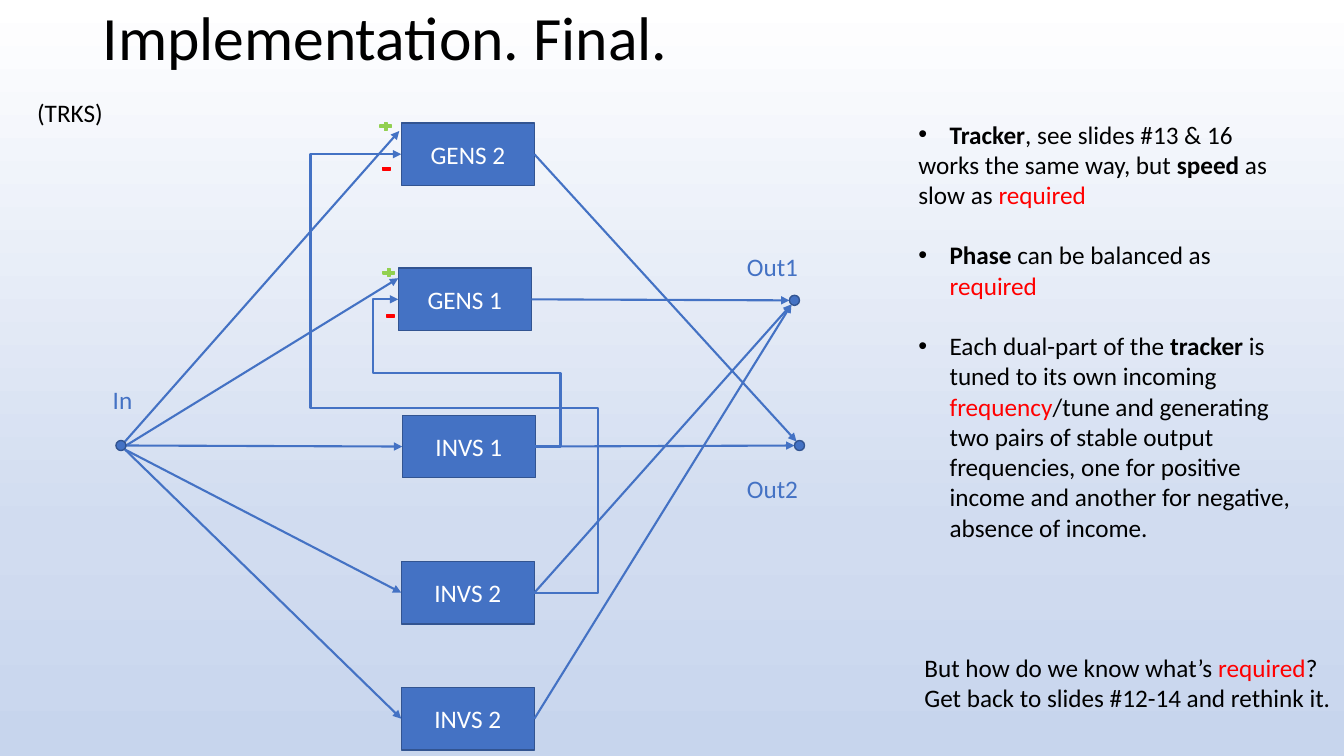
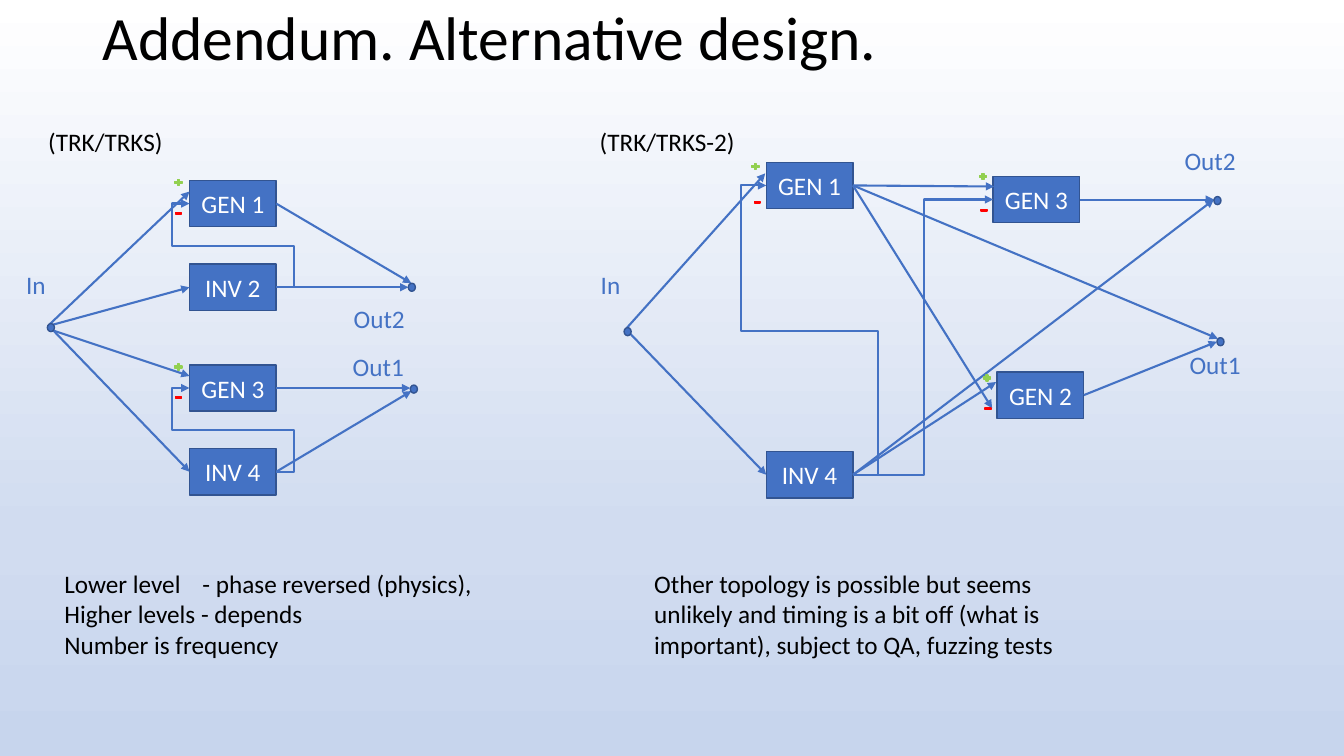
from copy import deepcopy
from dataclasses import dataclass

from lxml.etree import SubElement as Sub
from pptx import Presentation
from pptx.dml.color import RGBColor as Color
from pptx.enum.shapes import MSO_CONNECTOR as Link, MSO_SHAPE as Form
from pptx.enum.text import MSO_ANCHOR as Anchor, MSO_AUTO_SIZE as Fit, PP_ALIGN as Align
from pptx.oxml.ns import qn
from pptx.util import Emu, Inches, Pt

CELL = Inches(0.1)
FONT = "Calibri"
BLACK = Color(0, 0, 0)
WHITE = Color(0xFF, 0xFF, 0xFF)
BLUE = Color(0x44, 0x72, 0xC4)
NAVY = Color(0x32, 0x54, 0x91)
GREEN = Color(0x92, 0xD0, 0x50)
RED = Color(0xFF, 0, 0)
FADE = [(0, WHITE), (0.7, Color(0xD1, 0xDC, 0xF0)), (1, Color(0xC7, 0xD5, 0xED))]


@dataclass
class Size:
    box: tuple
    dot: tuple
    plus: tuple
    minus: tuple


BIG = Size((13.2, 6.2), (1, 1), (1.5, 1.1), (1.1, 0.9))
SMALL = Size((8.6, 4.6), (0.7, 0.8), (1, 0.8), (0.8, 0.7))


@dataclass
class Row:
    words: list
    dot: bool = False
    gap: float = 0
    tab: float = 0


def grid(*cells):
    return [Emu(round(n * CELL)) for n in cells]


def bold(text):
    return text, True, None


def red(text):
    return text, None, RED


def write(frame, rows, color=BLACK, size=18):
    for i, row in enumerate(rows):
        para = frame.paragraphs[0] if i == 0 else frame.add_paragraph()
        props = para._p.get_or_add_pPr()
        if row.gap:
            para.space_before = Pt(row.gap)
        if row.dot:
            props.set("marL", str(grid(3.1)[0]))
            props.set("indent", str(grid(-3.1)[0]))
            Sub(props, qn("a:buFont"), typeface="Arial")
            Sub(props, qn("a:buChar"), char="•")
        if row.tab:
            tabs = Sub(props, qn("a:tabLst"))
            Sub(tabs, qn("a:tab"), pos=str(grid(row.tab)[0]), algn="l")
        para.font.name = FONT
        para.font.size = Pt(size)
        para.font.color.rgb = color
        for word in row.words:
            text, heavy, tint = (word, None, None) if isinstance(word, str) else word
            run = para.add_run()
            run.text = text
            if heavy:
                run.font.bold = True
            if tint:
                run.font.color.rgb = tint


def note(page, x, y, wide, high, rows, color=BLACK):
    frame = page.shapes.add_textbox(*grid(x, y, wide, high)).text_frame
    frame.word_wrap = True
    frame.auto_size = Fit.SHAPE_TO_FIT_TEXT
    write(frame, rows, color)


def label(page, text, x, y, wide=9, high=4, color=BLUE):
    note(page, x, y, wide, high, [Row([text])], color)


def shape(page, form, spot, size, fill=BLUE, edge=NAVY):
    item = page.shapes.add_shape(form, *grid(*spot, *size))
    item.shadow.inherit = False
    item.fill.solid()
    item.fill.fore_color.rgb = fill
    item.line.color.rgb = edge
    item.line.width = Pt(1)
    return item


def box(page, text, x, y, size):
    item = shape(page, Form.RECTANGLE, (x, y), size.box)
    frame = item.text_frame
    frame.vertical_anchor = Anchor.MIDDLE
    write(frame, [Row([text])], WHITE)
    frame.paragraphs[0].alignment = Align.CENTER
    return item


def dots(page, size, *spots):
    for spot in spots:
        shape(page, Form.FLOWCHART_CONNECTOR, spot, size.dot)


def signs(page, size, plus, minus):
    shape(page, Form.MATH_PLUS, plus, size.plus, GREEN, GREEN)
    shape(page, Form.MATH_MINUS, minus, size.minus, RED, RED)


def place(end, right):
    if isinstance(end, tuple):
        return grid(*end)
    return end.left + end.width * right, end.top + end.height // 2


def wire(page, start, stop, *bends):
    a, b = place(start, 1), place(stop, 0)
    link = page.shapes.add_connector(Link.ELBOW if bends else Link.STRAIGHT, *a, *b)
    if not isinstance(start, tuple):
        link.begin_connect(start, 3)
    if not isinstance(stop, tuple):
        link.end_connect(stop, 1)
    link.line.color.rgb = BLUE
    link.line.width = Pt(1.5)
    props = link.element.spPr
    Sub(props.find(qn("a:ln")), qn("a:tailEnd"), type="triangle")
    Sub(props, qn("a:effectLst"))
    if bends:
        geom = props.find(qn("a:prstGeom"))
        geom.set("prst", f"bentConnector{len(bends) + 2}")
        for i, bend in enumerate(grid(*bends)):
            k = i % 2
            share = round((bend - a[k]) / (b[k] - a[k]) * 100000)
            Sub(geom.find(qn("a:avLst")), qn("a:gd"), name=f"adj{i + 1}", fmla=f"val {share}")


def wires(page, *pairs):
    for start, stop in pairs:
        wire(page, start, stop)


def sheet(deck, title):
    page = deck.slides.add_slide(deck.slide_layouts[6])
    fill = page.background.fill
    fill.gradient()
    fill.gradient_angle = 270
    stops = next(page.element.iter(qn("a:gsLst")))
    stops.append(deepcopy(stops[0]))
    for stop, (share, color) in zip(fill.gradient_stops, FADE):
        stop.position = share
        stop.color.rgb = color
    frame = page.shapes.add_textbox(*grid(9.2, 0, 115, 8.1)).text_frame
    frame.word_wrap = True
    frame.vertical_anchor = Anchor.MIDDLE
    write(frame, [Row([title])], size=44)
    frame.paragraphs[0].line_spacing = 0.9
    return page


def final(deck):
    page = sheet(deck, "Implementation. Final.")
    label(page, "(TRKS)", 2.7, 9.2, 12.4, color=BLACK)
    gen2 = box(page, "GENS 2", 39.8, 12.2, BIG)
    gen1 = box(page, "GENS 1", 39.5, 26.6, BIG)
    inv1 = box(page, "INVS 1", 39.9, 41.2, BIG)
    inv2 = box(page, "INVS 2", 39.8, 55.7, BIG)
    last = box(page, "INVS 2", 39.8, 68.2, BIG)
    wires(
        page,
        ((12.4, 43.8), (39.6, 13)),
        ((12.5, 44.2), (39.5, 27.6)),
        ((12.5, 44.2), inv1),
        ((12.4, 44.6), inv2),
        ((12.4, 44.6), last),
        (gen2, (79, 43.8)),
        (gen1, (78.3, 29.8)),
        (inv1, (78.8, 44.2)),
        (inv2, (78.5, 30.2)),
        (last, (78.5, 30.2)),
    )
    wire(page, inv1, gen1, 55.6, 37, 37)
    wire(page, inv2, gen2, 59.3, 40.5, 30.8)
    dots(page, BIG, (11.5, 43.7), (78.8, 43.7), (78.3, 29.3))
    signs(page, BIG, (37.5, 12), (37.8, 16.3))
    signs(page, BIG, (37.8, 26.5), (38.2, 30.9))
    label(page, "In", 10.2, 37.6)
    label(page, "Out1", 73.1, 24.4)
    label(page, "Out2", 73.1, 46.5)
    note(page, 90.1, 11.3, 39.1, 43.4, [
        Row([bold("Tracker"), ", see slides #13 & 16"], dot=True),
        Row(["works the same way, but ", bold("speed "), "as slow as ", red("required")]),
        Row([bold("Phase"), " can be balanced as ", red("required")], dot=True, gap=21.6),
        Row([
            "Each dual-part of the ", bold("tracker "), "is tuned to its own incoming ",
            red("frequency"),
            "/tune and generating two pairs of stable output frequencies, one for "
            "positive income and another for negative, absence of income.",
        ], dot=True, gap=21.6),
    ])
    note(page, 90.7, 64.2, 42.7, 7.1, [
        Row(["But how do we know what’s ", red("required"), "?"]),
        Row(["Get back to slides #12-14 and rethink it."]),
    ])


def stage(page, high, low, y):
    gen = box(page, high, 18.8, y, SMALL)
    inv = box(page, low, 18.8, y + 8.3, SMALL)
    wire(page, inv, gen, 29.2, y + 6.5, 17.1)
    signs(page, SMALL, (17.2, y - 0.2), (17.3, y + 2.9))
    return gen, inv


def pairs(page):
    label(page, "(TRK/TRKS)", 3.8, 12, 15.4, color=BLACK)
    gen1, inv2 = stage(page, "GEN 1", "INV 2", 17.9)
    gen3, inv4 = stage(page, "GEN 3", "INV 4", 36.2)
    wires(
        page,
        ((5, 32.1), (18.8, 19)),
        ((5.3, 32.2), inv2),
        ((5.3, 32.8), (18.8, 37.3)),
        ((5.3, 32.8), inv4),
        (gen1, (40.8, 28.1)),
        (inv2, (40.5, 28.5)),
        (gen3, (40.7, 38.5)),
        (inv4, (40.8, 38.8)),
    )
    dots(page, SMALL, (4.7, 32.1), (40.5, 28.1), (40.7, 38.2))
    label(page, "In", 1.6, 26.2, 6.1, 3)
    label(page, "Out2", 34.1, 29.6)
    label(page, "Out1", 34, 34.4)
    note(page, 5.4, 55.9, 42.7, 10.1, [
        Row(["Lower level\t- phase reversed (physics),"], tab=13.7),
        Row(["Higher levels - depends"]),
        Row(["Number is frequency"]),
    ])


def cross(page):
    label(page, "(TRK/TRKS-2)", 58.5, 12, 17.3, color=BLACK)
    gen1 = box(page, "GEN 1", 76, 16.1, SMALL)
    gen3 = box(page, "GEN 3", 98.5, 17.5, SMALL)
    gen2 = box(page, "GEN 2", 98.9, 36.9, SMALL)
    inv4 = box(page, "INV 4", 76, 44.8, SMALL)
    wires(
        page,
        ((62.2, 32.5), (75.9, 17.2)),
        ((62.5, 33.1), inv4),
        (gen1, (98.6, 18.5)),
        (gen1, (98.4, 40.5)),
        (gen1, (120.8, 33.6)),
        (gen3, (120.4, 19.8)),
        (gen2, (120.7, 33.9)),
        (inv4, (98.8, 37.9)),
        (inv4, (120.4, 19.8)),
    )
    wire(page, inv4, gen1, 87.1, 32.8, 73.5)
    wire(page, inv4, gen3, 91.6)
    dots(page, SMALL, (61.9, 32.5), (120.4, 19.5), (120.7, 33.5))
    signs(page, SMALL, (74.4, 16.1), (74.7, 19.7))
    signs(page, SMALL, (97, 17.1), (97.2, 20.5))
    signs(page, SMALL, (97.4, 37.1), (97.6, 40.2))
    label(page, "In", 58.6, 26.2, 6.1, 3)
    label(page, "Out2", 116.5, 13.9)
    label(page, "Out1", 117, 34.2)
    note(page, 63.9, 55.9, 47.6, 10.1, [Row([
        "Other topology is possible but seems unlikely and timing is a bit off "
        "(what is important), subject to QA, fuzzing tests",
    ])])


def main():
    deck = Presentation()
    deck.slide_width, deck.slide_height = Inches(13.33), Inches(7.5)
    final(deck)
    page = sheet(deck, "Addendum. Alternative design.")
    pairs(page)
    cross(page)
    deck.save("out.pptx")


if __name__ == "__main__":
    main()
